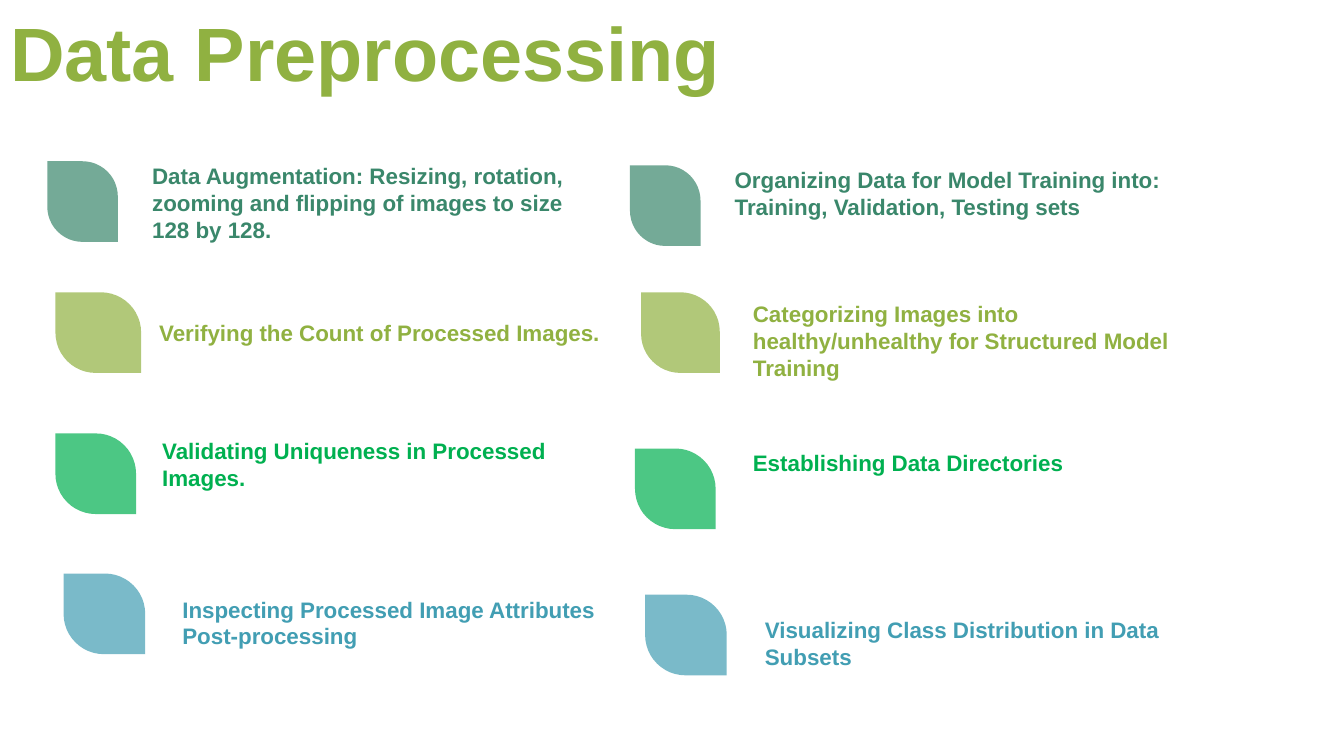
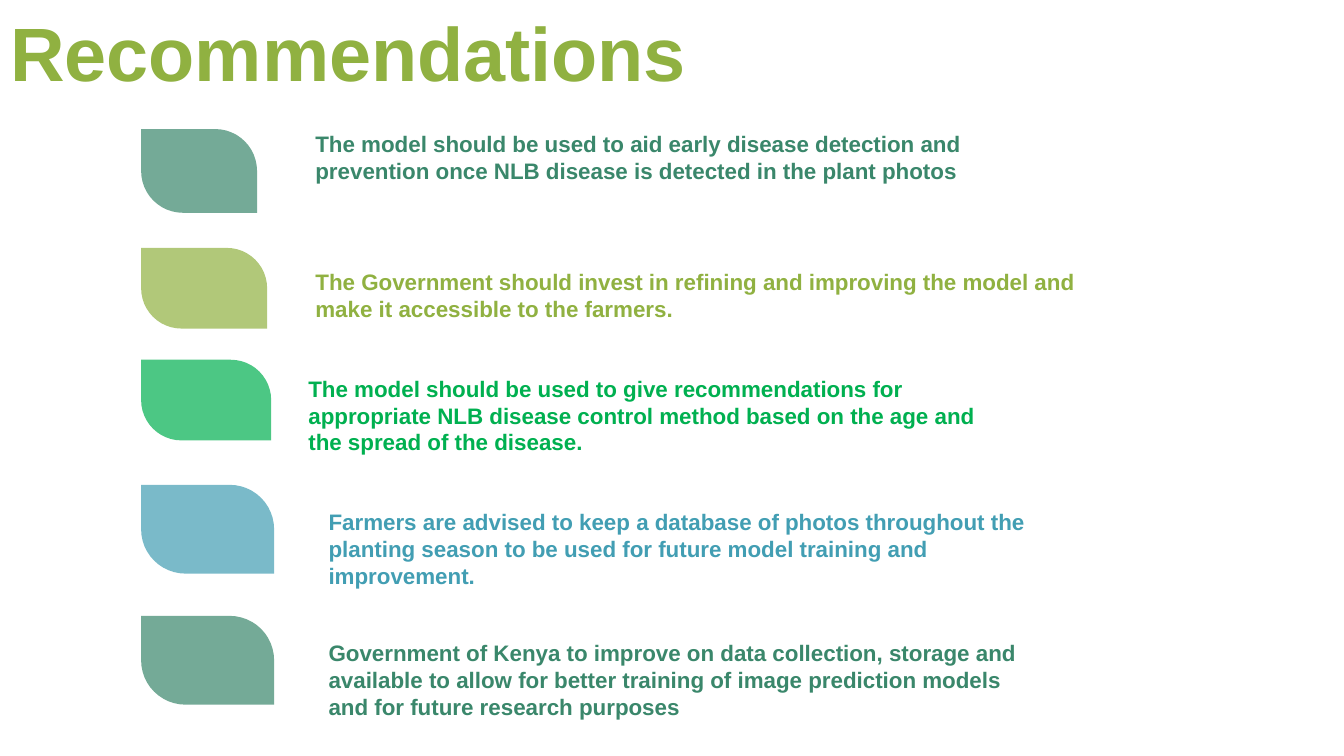
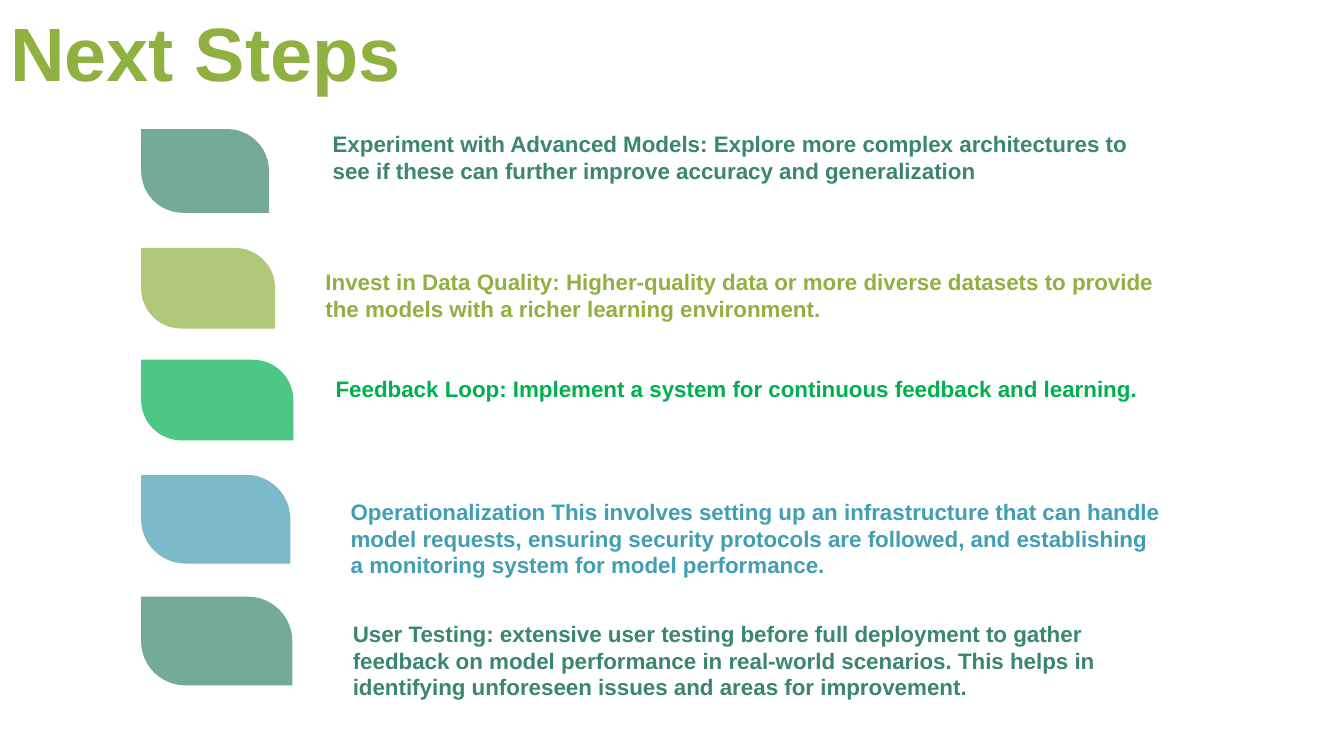
from dataclasses import dataclass
from itertools import cycle

from lxml.etree import SubElement
from pptx import Presentation
from pptx.dml.color import RGBColor
from pptx.enum.shapes import MSO_SHAPE
from pptx.enum.text import MSO_ANCHOR, MSO_AUTO_SIZE, PP_ALIGN
from pptx.oxml.ns import qn
from pptx.util import Pt

# Shared style
TEAL = RGBColor(0x3A, 0x87, 0x6B)
OLIVE = RGBColor(0x90, 0xB1, 0x41)
GREEN = RGBColor(0x00, 0xB0, 0x50)
BLUE = RGBColor(0x42, 0x9E, 0xB3)
PALETTE = (TEAL, OLIVE, GREEN, BLUE)
FONT = "Arial"
LEAF_ALPHA = 70
LINE_H = 19.4
PAD_X, PAD_Y = 8.6, 3.6
LIST_X = 100.8  # left edge of the leaves on the one-column slides


@dataclass(frozen=True)
class Item:
    """A leaf (x, y, width, height) and its text (x, y, width, lines), in points."""
    leaf: tuple[float, float, float, float]
    label: tuple[float, float, float, int]
    text: str


def write_text(tf, text: str, *, size: float, color: RGBColor,
               anchor=MSO_ANCHOR.TOP, pad_x: float = PAD_X) -> None:
    tf.word_wrap = True
    tf.auto_size = MSO_AUTO_SIZE.NONE
    tf.vertical_anchor = anchor
    tf.margin_left = tf.margin_right = Pt(pad_x)
    tf.margin_top = tf.margin_bottom = Pt(PAD_Y)
    p = tf.paragraphs[0]
    p.alignment = PP_ALIGN.LEFT
    r = p.add_run()
    r.text = text
    r.font.name, r.font.size, r.font.bold = FONT, Pt(size), True
    r.font.color.rgb = color


def add_item(slide, item: Item, color: RGBColor) -> None:
    group = slide.shapes.add_group_shape()

    # Translucent leaf
    sp = group.shapes.add_shape(MSO_SHAPE.ROUND_2_DIAG_RECTANGLE, *map(Pt, item.leaf))
    sp.adjustments[0], sp.adjustments[1] = 0, 0.5
    sp.shadow.inherit = False
    sp.line.fill.background()
    sp.fill.solid()
    sp.fill.fore_color.rgb = color
    srgb = sp.element.spPr.find(f"{qn('a:solidFill')}/{qn('a:srgbClr')}")
    SubElement(srgb, qn("a:alpha"), val=str(LEAF_ALPHA * 1000))

    # Text beside it
    x, y, w, lines = item.label
    box = group.shapes.add_textbox(Pt(x), Pt(y), Pt(w), Pt(2 * PAD_Y + lines * LINE_H))
    write_text(box.text_frame, item.text, size=16, color=color)


def add_slide(prs, title: str, items: list[Item]) -> None:
    slide = prs.slides.add_slide(prs.slide_layouts[5])
    sp = slide.shapes.title
    sp.left, sp.top, sp.width, sp.height = Pt(0), Pt(0), Pt(552.2), Pt(72.7)
    write_text(sp.text_frame, title, size=54, color=OLIVE,
               anchor=MSO_ANCHOR.MIDDLE, pad_x=7.2)
    for item, color in zip(items, cycle(PALETTE)):
        add_item(slide, item, color)


# Left column, then right column
PREPROCESSING = [
    Item((33.8, 115.2, 50.4, 57.6), (100.1, 112.3, 334.1, 4),
         "Data Augmentation: Resizing, rotation, zooming and flipping of images "
         "to size 128 by 128."),
    Item((39.6, 208.8, 61.2, 57.6), (105.1, 224.6, 342, 2),
         "Verifying the Count of Processed Images."),
    Item((39.6, 309.6, 57.6, 57.6), (107.3, 308.9, 319.7, 2),
         "Validating Uniqueness in Processed Images."),
    Item((45.4, 409.7, 58.3, 57.6), (121.7, 421.9, 324, 3),
         "Inspecting Processed Image Attributes Post-processing"),
    Item((450, 118.1, 50.4, 57.6), (516.2, 115.2, 334.1, 3),
         "Organizing Data for Model Training into: Training, Validation, Testing sets"),
    Item((457.9, 208.8, 56.2, 57.6), (529.2, 211, 342, 3),
         "Categorizing Images into healthy/unhealthy for Structured Model Training"),
    Item((453.6, 320.4, 57.6, 57.6), (529.2, 317.5, 319.7, 1),
         "Establishing Data Directories"),
    Item((460.8, 424.8, 58.3, 57.6), (537.8, 436.3, 324, 3),
         "Visualizing Class Distribution in Data Subsets"),
]

RECOMMENDATIONS = [
    Item((LIST_X, 92.2, 82.8, 59.8), (216.7, 89.3, 550.1, 2),
         "The model should be used to aid early disease detection and prevention "
         "once NLB disease is detected in the plant photos"),
    Item((LIST_X, 177.1, 90, 57.6), (216.7, 187.9, 582.5, 2),
         "The Government should invest in refining and improving the model and "
         "make it accessible to the farmers."),
    Item((LIST_X, 257, 92.9, 57.6), (211.7, 264.2, 516.2, 3),
         "The model should be used to give recommendations for appropriate NLB "
         "disease control method based on the age and the spread of the disease."),
    Item((LIST_X, 346.3, 95, 63.4), (226.1, 359.3, 529.2, 4),
         "Farmers are advised to keep a database of photos throughout the planting "
         "season to be used for future model training and improvement."),
    Item((LIST_X, 439.9, 95, 63.4), (226.1, 452.9, 529.2, 3),
         "Government of Kenya to improve on data collection, storage and available "
         "to allow for better training of image prediction models and for future "
         "research purposes"),
]

NEXT_STEPS = [
    Item((LIST_X, 92.2, 91.4, 59.8), (229, 89.3, 608.4, 2),
         "Experiment with Advanced Models: Explore more complex architectures to "
         "see if these can further improve accuracy and generalization"),
    Item((LIST_X, 177.1, 95.8, 57.6), (223.9, 187.9, 621.4, 2),
         "Invest in Data Quality: Higher-quality data or more diverse datasets to "
         "provide the models with a richer learning environment."),
    Item((LIST_X, 257, 108.7, 57.6), (231.1, 264.2, 606.2, 2),
         "Feedback Loop: Implement a system for continuous feedback and learning."),
    Item((LIST_X, 339.1, 106.6, 63.4), (241.9, 352.1, 595.4, 4),
         "Operationalization This involves setting up an infrastructure that can "
         "handle model requests, ensuring security protocols are followed, and "
         "establishing a monitoring system for model performance."),
    Item((LIST_X, 426.2, 108, 63.4), (243.4, 439.2, 602.6, 3),
         "User Testing: extensive user testing before full deployment to gather "
         "feedback on model performance in real-world scenarios. This helps in "
         "identifying unforeseen issues and areas for improvement."),
]


def main() -> None:
    prs = Presentation()
    prs.slide_width, prs.slide_height = Pt(960), Pt(540)
    add_slide(prs, "Data Preprocessing", PREPROCESSING)
    add_slide(prs, "Recommendations", RECOMMENDATIONS)
    add_slide(prs, "Next Steps", NEXT_STEPS)
    prs.save("out.pptx")


if __name__ == "__main__":
    main()
